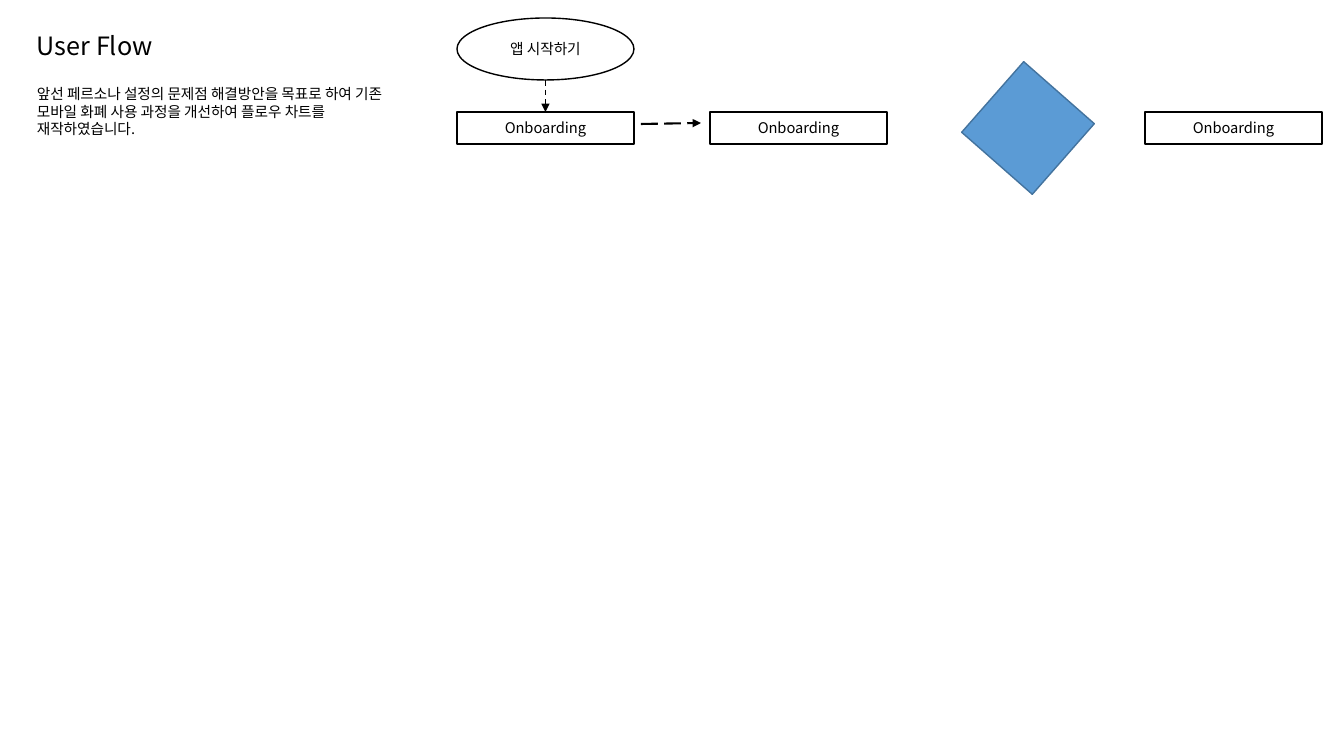
from lxml import etree
from pptx import Presentation
from pptx.dml.color import RGBColor
from pptx.enum.dml import MSO_LINE
from pptx.enum.shapes import MSO_CONNECTOR, MSO_SHAPE
from pptx.enum.text import MSO_AUTO_SIZE, PP_ALIGN
from pptx.oxml.ns import qn
from pptx.util import Emu, Pt

RECT, OVAL = MSO_SHAPE.RECTANGLE, MSO_SHAPE.OVAL
STRAIGHT = MSO_CONNECTOR.STRAIGHT
DASH, LONG_DASH = MSO_LINE.DASH, MSO_LINE.LONG_DASH
LEFT, CENTER = PP_ALIGN.LEFT, PP_ALIGN.CENTER
FIT = MSO_AUTO_SIZE.SHAPE_TO_FIT_TEXT

COLORS = {"ink": "000000", "blue": "5B9BD5", "blue_line": "43739E"}
EMU_PER_PX = 914400 / 100.8


def px(n):
    return Emu(round(n * EMU_PER_PX))


def color(name):
    return RGBColor.from_string(COLORS[name])


def write(tf, text, size=10.5, font="Noto Sans CJK KR", ink="ink", align=LEFT):
    p = tf.paragraphs[0]
    p.alignment = align
    r = p.add_run()
    r.text = text
    r.font.size = Pt(size)
    r.font.color.rgb = color(ink)
    r.font.name = font
    etree.SubElement(r._r.get_or_add_rPr(), qn("a:ea"), typeface=font)


class Flow:
    label_h = 28

    def __init__(self, slide):
        self.s = slide

    def text(self, x, y, w, h, text, **fmt):
        tf = self.s.shapes.add_textbox(px(x), px(y), px(w), px(h)).text_frame
        tf.word_wrap = True
        tf.auto_size = FIT
        write(tf, text, **fmt)

    def shape(self, kind, x, y, w, h, fill=None, line="ink", rotation=0):
        sp = self.s.shapes.add_shape(kind, px(x), px(y), px(w), px(h))
        sp.shadow.inherit = False
        sp.rotation = rotation
        if fill:
            sp.fill.solid()
            sp.fill.fore_color.rgb = color(fill)
        else:
            sp.fill.background()
        sp.line.color.rgb = color(line)
        sp.line.width = Pt(1)

    def node(self, kind, x, y, w, h, text, label_w):
        self.shape(kind, x, y, w, h)
        self.text(x + (w - label_w) / 2, y + (h - self.label_h) / 2,
                  label_w, self.label_h, text, align=CENTER)

    def arrow(self, x1, y1, x2, y2, width, dash):
        c = self.s.shapes.add_connector(STRAIGHT, px(x1), px(y1), px(x2), px(y2))
        c.line.color.rgb = color("ink")
        c.line.width = Pt(width)
        c.line.dash_style = dash
        etree.SubElement(c.line._get_or_add_ln(), qn("a:tailEnd"), type="triangle")
        etree.SubElement(c._element.spPr, qn("a:effectLst"))


prs = Presentation()
prs.slide_width, prs.slide_height = px(1344), px(756)
flow = Flow(prs.slides.add_slide(prs.slide_layouts[6]))

# Title and introduction
flow.text(27, 25, 532, 40, "User Flow", size=18)
flow.text(27, 80, 378, 63,
          "앞선 페르소나 설정의 문제점 해결방안을 목표로 하여 기존 모바일 화폐 사용 과정을 "
          "개선하여 플로우 차트를 재작하였습니다.")

# Start, steps and decision
NODE_W, STEP_Y, STEP_H = 177, 112, 32
START_X, START_Y, START_H = 457, 18, 62
flow.node(OVAL, START_X, START_Y, NODE_W, START_H, "앱 시작하기", 121)
for x in (START_X, 710, 1145):
    flow.node(RECT, x, STEP_Y, NODE_W, STEP_H, "Onboarding", 108)
flow.shape(RECT, 981, 81, 94, 94, fill="blue", line="blue_line", rotation=41.3)

# Arrows
flow.arrow(641, 124, 701, 123, 1.5, LONG_DASH)
mid = START_X + NODE_W / 2
flow.arrow(mid, START_Y + START_H, mid, STEP_Y, 1, DASH)

prs.save("out.pptx")
